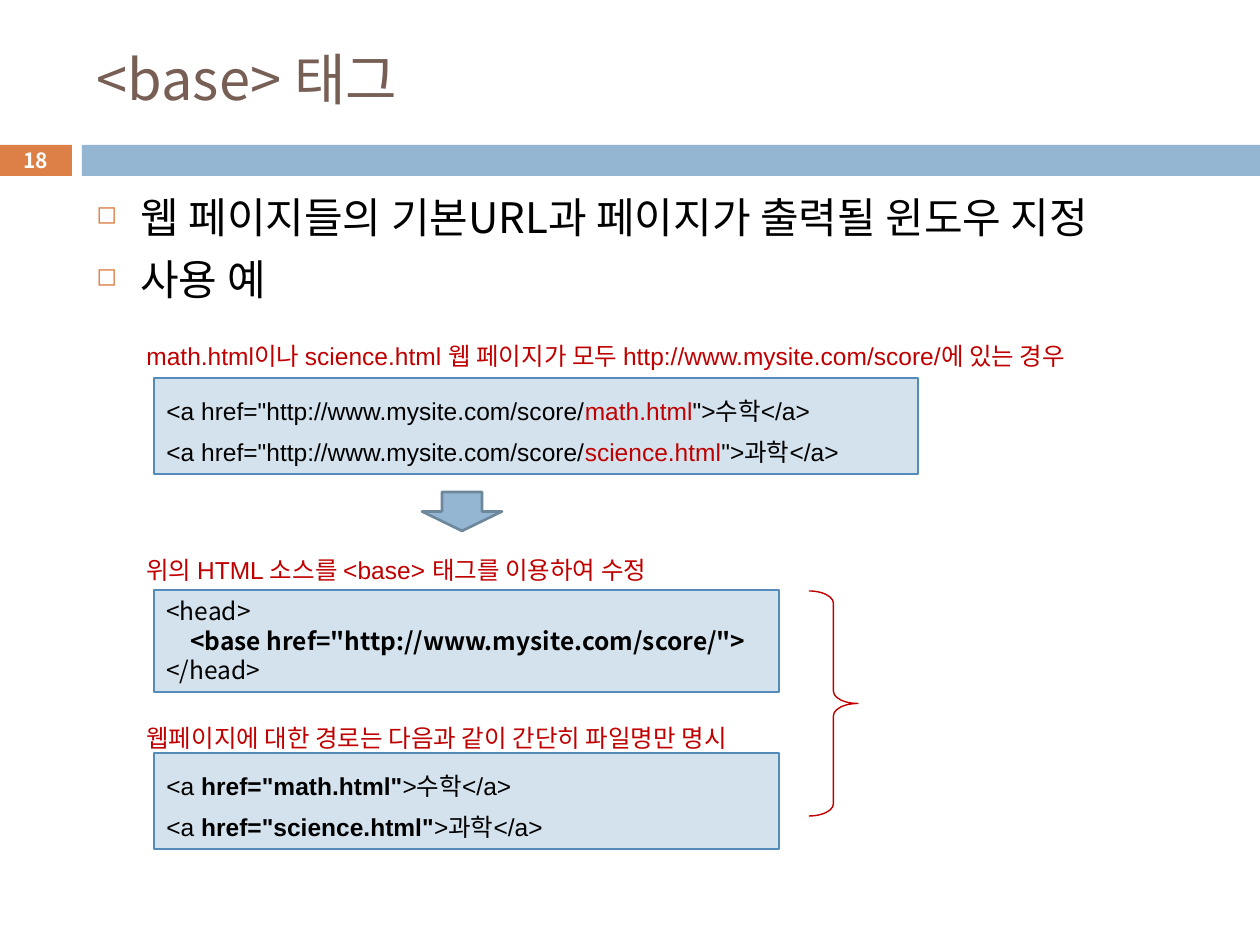
from dataclasses import dataclass

from lxml import etree
from pptx import Presentation
from pptx import util as u
from pptx.dml.color import RGBColor
from pptx.enum import shapes, text
from pptx.oxml.ns import qn

PX = 914400 / 126


@dataclass(frozen=True)
class Theme:
    sans: str = "Arial"
    korean: str = "Noto Sans CJK KR"
    ink: str = "000000"
    white: str = "FFFFFF"
    title: str = "775F55"
    orange: str = "DD8047"
    blue: str = "94B6D2"
    arrow_edge: str = "6D879B"
    panel: str = "D4E2ED"
    panel_edge: str = "558BB8"
    red: str = "C00000"
    title_size: float = 32
    bullet_size: float = 24
    text_size: float = 14
    number_size: float = 12


THEME = Theme()


def px(value):
    return u.Emu(round(value * PX))


def place(box):
    return [px(value) for value in box]


def color(value):
    return RGBColor.from_string(value)


def style(span, size, ink=THEME.ink, name=THEME.korean, bold=False):
    span.font.size = u.Pt(size)
    span.font.name = name
    span.font.bold = bold
    span.font.color.rgb = color(ink)
    east_asian = etree.SubElement(span._r.get_or_add_rPr(), qn("a:ea"))
    east_asian.set("typeface", THEME.korean)


def add_preset(page, kind, box, fill=None, edge=None, width=0.75):
    shape = page.shapes.add_shape(kind, *place(box))
    shape.shadow.inherit = False
    if fill:
        shape.fill.solid()
        shape.fill.fore_color.rgb = color(fill)
    else:
        shape.fill.background()
    if edge:
        shape.line.color.rgb = color(edge)
        shape.line.width = u.Pt(width)
    else:
        shape.line.fill.background()
    return shape


def add_text_box(page, box):
    frame = page.shapes.add_textbox(*place(box)).text_frame
    frame.word_wrap = True
    return frame


def add_title(page, box, words):
    title = page.shapes.title
    title.left, title.top, title.width, title.height = place(box)
    frame = title.text_frame
    frame.text = words
    frame.auto_size = text.MSO_AUTO_SIZE.NONE
    frame.vertical_anchor = text.MSO_ANCHOR.MIDDLE
    para = frame.paragraphs[0]
    para.alignment = text.PP_ALIGN.LEFT
    style(para.runs[0], THEME.title_size, THEME.title)


def add_band(page, box, number):
    left, top, width, height = box
    badge_width, gap = 72, 10
    kind = shapes.MSO_SHAPE.RECTANGLE
    badge = add_preset(page, kind, (left, top, badge_width, height), THEME.orange)
    offset = badge_width + gap
    add_preset(page, kind, (left + offset, top, width - offset, height), THEME.blue)
    frame = badge.text_frame
    frame.margin_top = frame.margin_bottom = 0
    frame.vertical_anchor = text.MSO_ANCHOR.MIDDLE
    frame.text = number
    para = frame.paragraphs[0]
    para.alignment = text.PP_ALIGN.CENTER
    style(para.runs[0], THEME.number_size, THEME.white, bold=True)


def add_bullets(page, box, lines):
    frame = add_text_box(page, box)
    frame.text = "\n".join(lines)
    for index, para in enumerate(frame.paragraphs):
        properties = para._p.get_or_add_pPr()
        properties.set("marL", str(px(44)))
        properties.set("indent", str(-px(44)))
        bullet_color = etree.SubElement(properties, qn("a:buClr"))
        etree.SubElement(bullet_color, qn("a:srgbClr")).set("val", THEME.orange)
        etree.SubElement(properties, qn("a:buSzPct")).set("val", "60000")
        etree.SubElement(properties, qn("a:buChar")).set("char", "◻")
        if index:
            para.space_before = u.Pt(7)
        style(para.runs[0], THEME.bullet_size)


def add_caption(page, box, words):
    frame = add_text_box(page, box)
    frame.text = words
    para = frame.paragraphs[0]
    para.line_spacing = 1.6
    style(para.runs[0], THEME.text_size, THEME.red, THEME.sans)


def add_code(page, box, lines, name=THEME.sans, spacing=None, tab=None):
    panel = add_preset(page, shapes.MSO_SHAPE.RECTANGLE, box, THEME.panel, THEME.panel_edge)
    frame = panel.text_frame
    frame.word_wrap = True
    frame.vertical_anchor = text.MSO_ANCHOR.TOP
    for index, line in enumerate(lines):
        para = frame.add_paragraph() if index else frame.paragraphs[0]
        para.alignment = text.PP_ALIGN.LEFT
        para.line_spacing = spacing
        if tab:
            tabs = etree.SubElement(para._p.get_or_add_pPr(), qn("a:tabLst"))
            etree.SubElement(tabs, qn("a:tab"), pos=str(px(tab)), algn="l")
        for words, look in line:
            span = para.add_run()
            span.text = words
            style(span, THEME.text_size, name=name, **look)


def add_example(page, box):
    left, top, width, height = box
    code_left = left + 20
    plain, red, bold = {}, {"ink": THEME.red}, {"bold": True}
    links = [("math.html", "수학"), ("science.html", "과학")]

    captions = [
        (0, "math.html이나 science.html 웹 페이지가 모두 http://www.mysite.com/score/에 있는 경우"),
        (214, "위의 HTML 소스를 <base> 태그를 이용하여 수정"),
        (382, "웹페이지에 대한 경로는 다음과 같이 간단히 파일명만 명시"),
    ]
    for offset, words in captions:
        add_caption(page, (left, top + offset, width, 54), words)

    full_links = [
        [('<a href="http://www.mysite.com/score/', plain), (file, red), (f'">{label}</a>', plain)]
        for file, label in links
    ]
    short_links = [
        [("<a ", plain), (f'href="{file}"', bold), (f">{label}</a>", plain)]
        for file, label in links
    ]
    head = [
        [("<head>", plain)],
        [("\t", plain), ('<base href="http://www.mysite.com/score/">', bold)],
        [("</head>", plain)],
    ]
    add_code(page, (code_left, top + 61, 764, 96), full_links, spacing=1.4)
    add_code(page, (code_left, top + 273, 625, 102), head, THEME.korean, tab=24)
    add_code(page, (code_left, top + 436, 625, 96), short_links, spacing=1.4)

    add_preset(page, shapes.MSO_SHAPE.DOWN_ARROW, (left + 288, top + 175, 80, 39),
               THEME.blue, THEME.arrow_edge, 1.5)
    brace = add_preset(page, shapes.MSO_SHAPE.RIGHT_BRACE, (left + 675, top + 274, 49, 225),
                       edge=THEME.red, width=0.79)
    brace.adjustments[0] = 0.25
    brace.adjustments[1] = 0.5


def main():
    deck = Presentation()
    deck.slide_width, deck.slide_height = px(1260), px(945)
    page = deck.slides.add_slide(deck.slide_layouts[5])
    add_band(page, (0, 145, 1260, 31), "18")
    add_title(page, (84, 32, 1124, 93), "<base> 태그")
    add_bullets(page, (84, 185, 1124, 694),
                ["웹 페이지들의 기본URL과 페이지가 출력될 윈도우 지정", "사용 예"])
    add_example(page, (134, 317, 1052, 532))
    deck.save("out.pptx")


if __name__ == "__main__":
    main()
